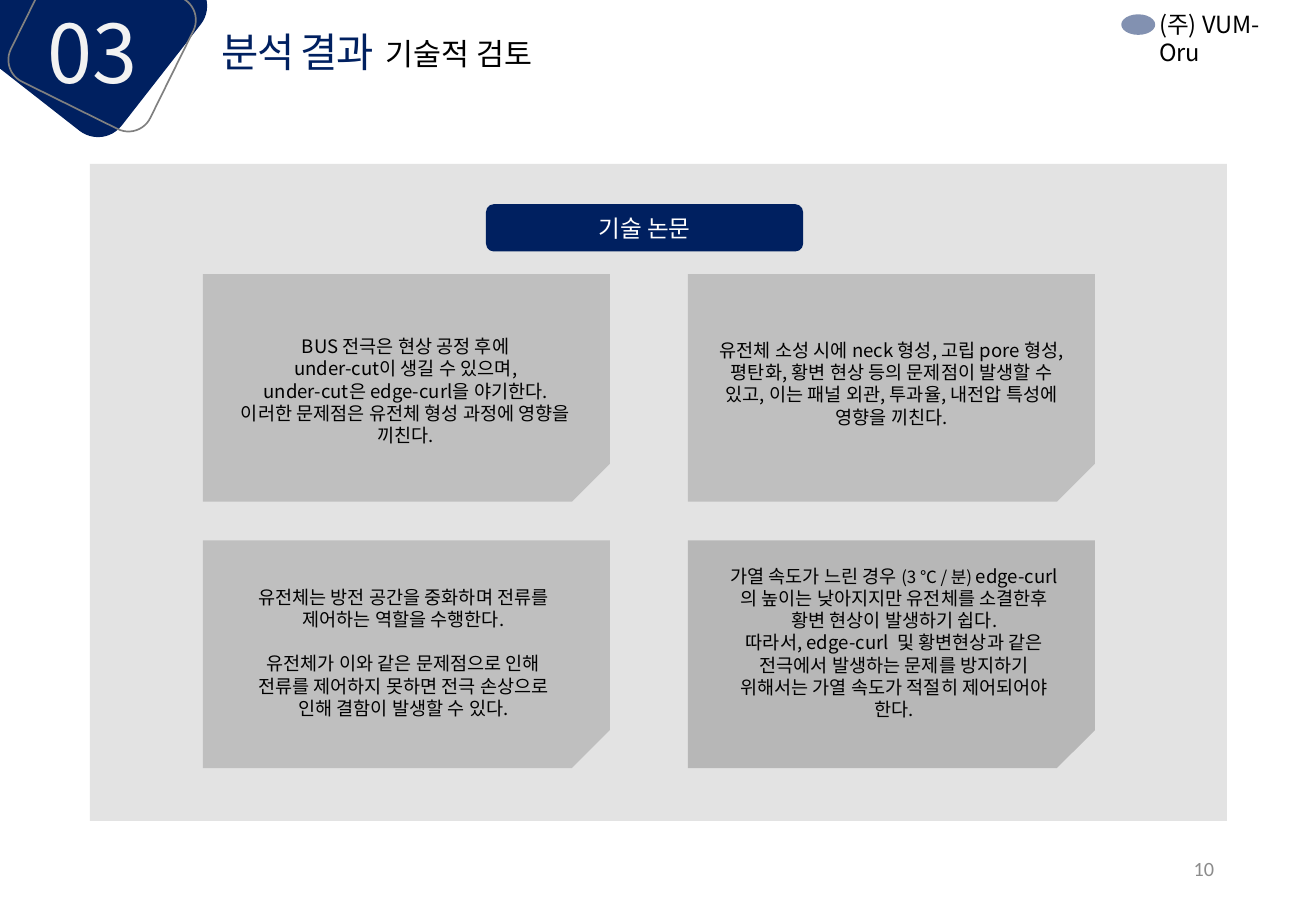
from pptx import Presentation
from pptx import util as u
from pptx.dml import color
from pptx.enum import shapes, text
from pptx.oxml import ns
from lxml import etree

THEME = {
    "font": "Noto Sans CJK KR", "number_font": "Calibri",
    "navy": "002060", "black": "000000", "white": "FFFFFF", "pale": "F2F2F2",
    "card": "BFBFBF", "panel": "A6A6A6", "outline": "808080", "muted": "8C8C8C",
    "section": 48, "title": 24, "subtitle": 18, "label": 14,
    "page": 12, "body": 11, "note": 10,
}
SECTION, TITLE, SUBTITLE = "03", "분석 결과", "기술적 검토"
COMPANY, HEADING, PAGE = "(주) VUM-Oru", "기술 논문", "10"

BUS_ELECTRODE = [
    ["BUS 전극은 현상 공정 후에"],
    ["under-cut이 생길 수 있으며,"],
    ["under-cut은 edge-curl을 야기한다."],
    ["이러한 문제점은 유전체 형성 과정에 영향을 끼친다."],
]
FIRING = [
    ["유전체 소성 시에 neck 형성, 고립 pore 형성, 평탄화, 황변 현상 등의 문제점이 "
     "발생할 수 있고, 이는 패널 외관, 투과율, 내전압 특성에 영향을 끼친다."],
]
DIELECTRIC = [
    ["유전체는 방전 공간을 중화하며 전류를 제어하는 역할을 수행한다."],
    ["유전체가 이와 같은 문제점으로 인해 전류를 제어하지 못하면 전극 손상으로 "
     "인해 결함이 발생할 수 있다."],
]
HEATING = [
    ["가열 속도가 느린 경우 ", ("(3 ℃ / 분) ", "note"),
     "edge-curl의 높이는 낮아지지만 유전체를 소결한후 황변 현상이 발생하기 쉽다."],
    ["따라서, edge-curl  및 황변현상과 같은"],
    ["전극에서 발생하는 문제를 방지하기 위해서는 가열 속도가 적절히 제어되어야 한다."],
]
FINDINGS = [
    (BUS_ELECTRODE, (4.52, 6.88, 7.92, 2.62), 0),
    (FIRING, (14.68, 6.96, 7.92, 2.13), 0),
    (DIELECTRIC, (4.75, 12.12, 7.37, 3.07), 13.2),
    (HEATING, (15.01, 11.68, 7.37, 4.01), 0),
]
CARD_LEFTS, CARD_TOPS, CARD_SIZE = (4.24, 14.38), (5.73, 11.3), (8.51, 4.76)

prs = Presentation()
prs.slide_width, prs.slide_height = u.Cm(27.51), u.Cm(19.05)
slide = prs.slides.add_slide(prs.slide_layouts[6])


def rgb(name):
    return color.RGBColor.from_string(THEME[name])


def add_block(kind, box, fill=None, line=None, alpha=None, rotation=0):
    block = slide.shapes.add_shape(kind, *map(u.Cm, box))
    block.shadow.inherit = False
    block.rotation = rotation
    if fill:
        block.fill.solid()
        block.fill.fore_color.rgb = rgb(fill)
    else:
        block.fill.background()
    if line:
        block.line.color.rgb = rgb(line)
        block.line.width = u.Pt(1)
    else:
        block.line.fill.background()
    if alpha:
        tint = block._element.spPr.find(ns.qn("a:solidFill"))[0]
        etree.SubElement(tint, ns.qn("a:alpha")).set("val", str(alpha * 1000))
    return block


def write(frame, paragraphs, size, ink, align="LEFT", anchor="TOP", gap=0,
          font="font", tracking=0):
    frame.word_wrap = True
    frame.vertical_anchor = text.MSO_ANCHOR[anchor]
    for index, pieces in enumerate(paragraphs):
        paragraph = frame.add_paragraph() if index else frame.paragraphs[0]
        paragraph.alignment = text.PP_ALIGN[align]
        if index and gap:
            paragraph.space_before = u.Pt(gap)
        for piece in pieces:
            words, run_size = (piece, size) if isinstance(piece, str) else piece
            run = paragraph.add_run()
            run.text = words
            run.font.size = u.Pt(THEME[run_size])
            run.font.color.rgb = rgb(ink)
            run.font.name = THEME[font]
            properties = run._r.get_or_add_rPr()
            etree.SubElement(properties, ns.qn("a:ea")).set("typeface", THEME[font])
            if tracking:
                properties.set("spc", str(tracking * 100))


def add_words(box, paragraphs, size, ink, **style):
    write(slide.shapes.add_textbox(*map(u.Cm, box)).text_frame,
          paragraphs, size, ink, **style)


def add_card(index):
    row, column = divmod(index, 2)
    card = add_block(shapes.MSO_SHAPE.SNIP_1_RECTANGLE,
                     (CARD_LEFTS[column], CARD_TOPS[row], *CARD_SIZE),
                     fill="card", rotation=180)
    card._element.spPr.find(ns.qn("a:xfrm")).set("flipH", "1")


ROUNDED = shapes.MSO_SHAPE.ROUNDED_RECTANGLE
add_card(3)
add_block(ROUNDED, (-0.08, -1.47, 3.94, 3.76), fill="navy", rotation=308)
add_block(ROUNDED, (0.61, -0.79, 3.05, 3.25), line="outline", rotation=296.3)
add_words((0.74, -0.08, 2.95, 2.31), [[SECTION]], "section", "pale")
add_words((4.39, 0.43, 17.96, 1.27), [[TITLE]], "title", "navy",
          anchor="MIDDLE", tracking=-1)
add_words((23.98, 0.08, 3.3, 0.86), [[COMPANY]], "label", "black")
add_block(shapes.MSO_SHAPE.OVAL, (23.44, 0.3, 0.71, 0.43), fill="navy", alpha=49)
add_words((7.82, 0.61, 3.94, 1.02), [[SUBTITLE]], "subtitle", "black")
add_block(shapes.MSO_SHAPE.RECTANGLE, (1.88, 3.43, 23.77, 13.74),
          fill="panel", alpha=31)
for index in range(3):
    add_card(index)
heading = add_block(ROUNDED, (10.16, 4.27, 6.63, 0.99), fill="navy")
write(heading.text_frame, [[HEADING]], "label", "white",
      align="CENTER", anchor="MIDDLE")
for paragraphs, box, gap in FINDINGS:
    add_words(box, paragraphs, "body", "black", align="CENTER", gap=gap)
add_words((19.43, 17.65, 6.2, 1.02), [[PAGE]], "page", "muted",
          align="RIGHT", anchor="MIDDLE", font="number_font")

prs.save("out.pptx")
